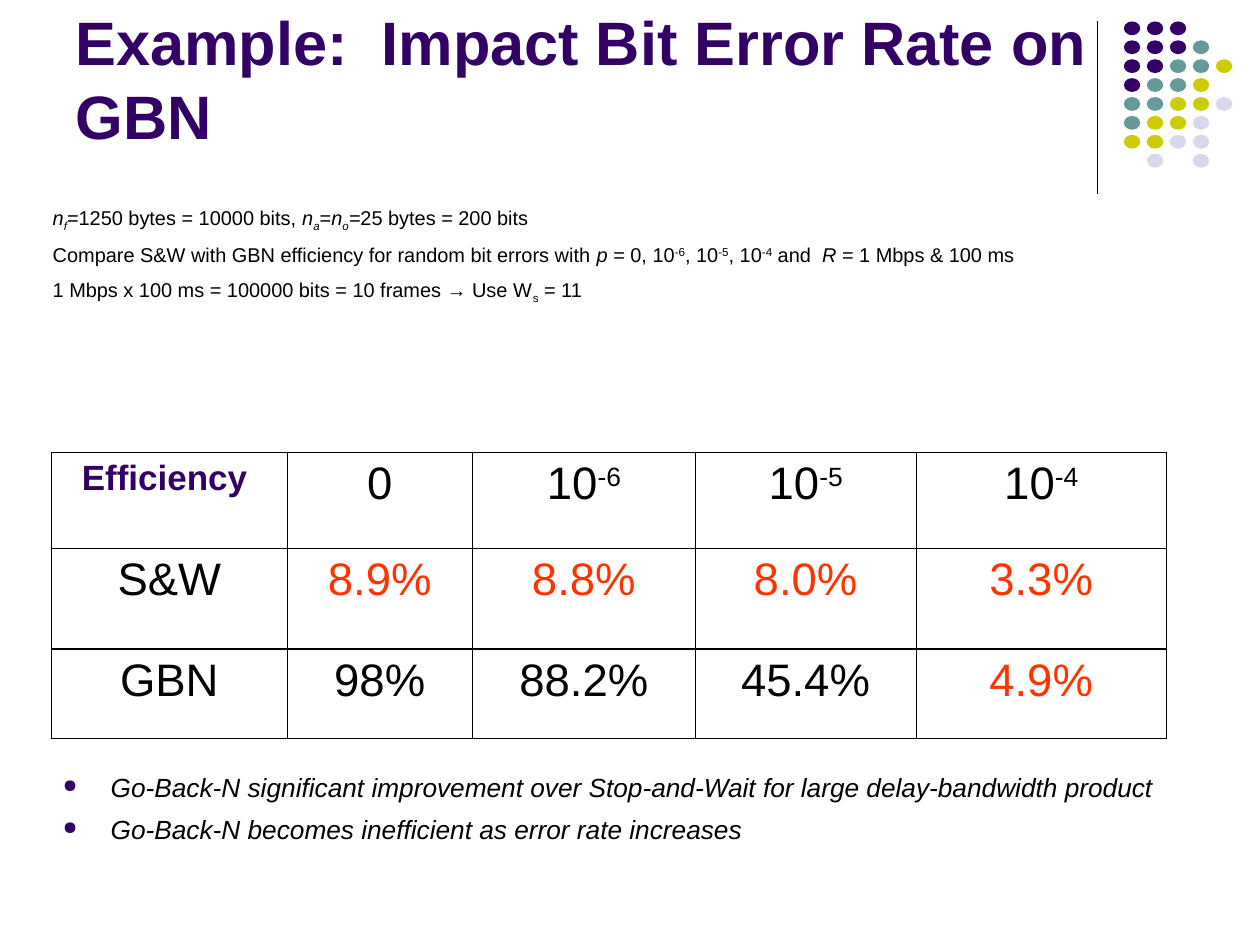
import pptx
import pptx.dml.color
import pptx.enum.shapes
import pptx.enum.text
import pptx.oxml
import pptx.oxml.ns
import pptx.util

COLORS = {
    "purple": "330066",
    "teal": "669999",
    "lime": "CCCC00",
    "lilac": "D8D8EC",
    "red": "FF3300",
    "black": "000000",
}
NS = pptx.oxml.ns.nsdecls("a")
UNIT = 914400  # the page is a grid of 10 columns by 7.5 rows
THIN, THICK = 0.45, 1.08

# A span is (text, style): i italic, b bold, - subscript, + superscript
TITLE = [[("Example:  Impact Bit Error Rate on GBN", "b")]]
SETUP = [
    [("n", "i"), ("f", "i-"), ("=1250 bytes = 10000 bits, ", ""), ("n", "i"),
     ("a", "i-"), ("=", ""), ("n", "i"), ("o", "i-"), ("=", "i"),
     ("25 bytes = 200 bits", "")],
    [("Compare S&W with GBN efficiency for random bit errors with ", ""),
     ("p ", "i"), ("= 0, 10", ""), ("-6", "+"), (", 10", ""), ("-5", "+"),
     (", 10", ""), ("-4", "+"), (" and  ", ""), ("R ", "i"),
     ("= 1 Mbps & 100 ms", "")],
    [("1 Mbps x 100 ms = 100000 bits = 10 frames → Use W", ""), ("s", "-"),
     (" = 11", "")],
]
FINDINGS = [
    [("Go-Back-N significant improvement over Stop-and-Wait "
      "for large delay-bandwidth product", "i")],
    [("Go-Back-N becomes inefficient as error rate increases", "i")],
]
HEADINGS = [[("Efficiency ", "b")], [("0", "")]] + [
    [("10", ""), (power, "+")] for power in ("-6", "-5", "-4")]
RESULTS = [["S&W", "8.9%", "8.8%", "8.0%", "3.3%"],
           ["GBN", "98%", "88.2%", "45.4%", "4.9%"]]
RED_CELLS = {(1, 1), (1, 2), (1, 3), (1, 4), (2, 4)}
DOTS = ["PPP", "PPPT", "PPTTL", "PTTL", "TTLLV", "TLLV", "LLVV", " V V"]
DOT_COLORS = {"P": "purple", "T": "teal", "L": "lime", "V": "lilac"}


def grid(*lengths):
    return [pptx.util.Emu(round(length * UNIT)) for length in lengths]


def rgb(name):
    return pptx.dml.color.RGBColor.from_string(COLORS[name])


def write_spans(para, spans, size, color):
    for text, style in spans:
        span = para.add_run()
        span.text = text
        span.font.name = "Arial"
        span.font.size = pptx.util.Pt(size)
        span.font.color.rgb = rgb(color)
        span.font.bold = "b" in style
        span.font.italic = "i" in style
        if "-" in style:
            span.font._element.set("baseline", "-25000")
        elif "+" in style:
            span.font._element.set("baseline", "30000")


def add_text(page, box, paragraphs, size, color="black", indent=0, bullet=None):
    frame = page.shapes.add_textbox(*grid(*box)).text_frame
    frame.word_wrap = True
    for index, spans in enumerate(paragraphs):
        para = frame.add_paragraph() if index else frame.paragraphs[0]
        properties = para._p.get_or_add_pPr()
        if indent:
            hang = round(indent * UNIT)
            properties.set("marL", str(hang))
            properties.set("indent", str(-hang))
        if bullet:
            for element in (
                    f'<a:buClr {NS}><a:srgbClr val="{COLORS["purple"]}"/></a:buClr>',
                    f'<a:buSzPct {NS} val="70000"/>',
                    f'<a:buChar {NS} char="{bullet}"/>'):
                properties.append(pptx.oxml.parse_xml(element))
        if index:
            para.space_before = pptx.util.Pt(6)
        write_spans(para, spans, size, color)
    return frame


def add_title(page, box):
    frame = add_text(page, box, TITLE, 35, "purple")
    frame.vertical_anchor = pptx.enum.text.MSO_ANCHOR.BOTTOM


def add_ornament(page, box):
    left, top, width, height = box
    # Upright rule at the left edge
    rule = page.shapes.add_connector(
        pptx.enum.shapes.MSO_CONNECTOR.STRAIGHT,
        *grid(left, top, left, top + height))
    rule.line.color.rgb = rgb("black")
    rule.line.width = pptx.util.Pt(0.75)
    rule._element.spPr.append(pptx.oxml.parse_xml(f"<a:effectLst {NS}/>"))
    # Dots, five to a row
    dot_width, dot_height = 0.13, 0.11
    first = left + 0.21
    step_x = (left + width - dot_width - first) / 4
    step_y = 0.15
    for row, pattern in enumerate(DOTS):
        for column, key in enumerate(pattern):
            if key not in DOT_COLORS:
                continue
            dot = page.shapes.add_shape(
                pptx.enum.shapes.MSO_SHAPE.OVAL,
                *grid(first + column * step_x, top + row * step_y,
                      dot_width, dot_height))
            dot.shadow.inherit = False
            dot.fill.solid()
            dot.fill.fore_color.rgb = rgb(DOT_COLORS[key])
            dot.line.fill.background()


def set_borders(cell, weights):
    properties = cell._tc.get_or_add_tcPr()
    for side, weight in weights.items():
        properties.append(pptx.oxml.parse_xml(
            f'<a:ln{side} {NS} w="{round(weight * 12700)}"><a:solidFill>'
            f'<a:srgbClr val="{COLORS["black"]}"/></a:solidFill></a:ln{side}>'))
    cell.fill.background()


def add_efficiency_table(page, box):
    columns, rows = [1.87, 1.47, 1.77, 1.75, 1.99], [0.76, 0.8, 0.71]
    table = page.shapes.add_table(len(rows), len(columns), *grid(*box)).table
    table.first_row = table.horz_banding = False
    for column, width in zip(table.columns, grid(*columns)):
        column.width = width
    for row, height in zip(table.rows, grid(*rows)):
        row.height = height
    contents = [HEADINGS] + [[[(text, "")] for text in row] for row in RESULTS]
    for r, row in enumerate(contents):
        for c, spans in enumerate(row):
            cell = table.cell(r, c)
            set_borders(cell, {
                "L": THICK if c == 0 else THIN,
                "R": THICK if c == len(columns) - 1 else THIN,
                "T": THIN if r == 1 else THICK,
                "B": THIN if r == 0 else THICK})
            para = cell.text_frame.paragraphs[0]
            para.alignment = pptx.enum.text.PP_ALIGN.CENTER
            if (r, c) == (0, 0):
                write_spans(para, spans, 20, "purple")
            else:
                color = "red" if (r, c) in RED_CELLS else "black"
                write_spans(para, spans, 26, color)


def main():
    deck = pptx.Presentation()
    deck.slide_width, deck.slide_height = grid(10, 7.5)
    page = deck.slides.add_slide(deck.slide_layouts[6])
    add_ornament(page, (8.71, 0.17, 1.07, 1.37))
    add_title(page, (0.5, 0.13, 8.25, 1.12))
    add_text(page, (0.32, 1.58, 9.47, 0.94), SETUP, 11.4, indent=0.38)
    add_efficiency_table(page, (0.41, 3.59, 8.85, 2.27))
    add_text(page, (0.4, 6.07, 9.35, 0.75), FINDINGS, 15, indent=0.38, bullet="●")
    deck.save("out.pptx")


if __name__ == "__main__":
    main()
